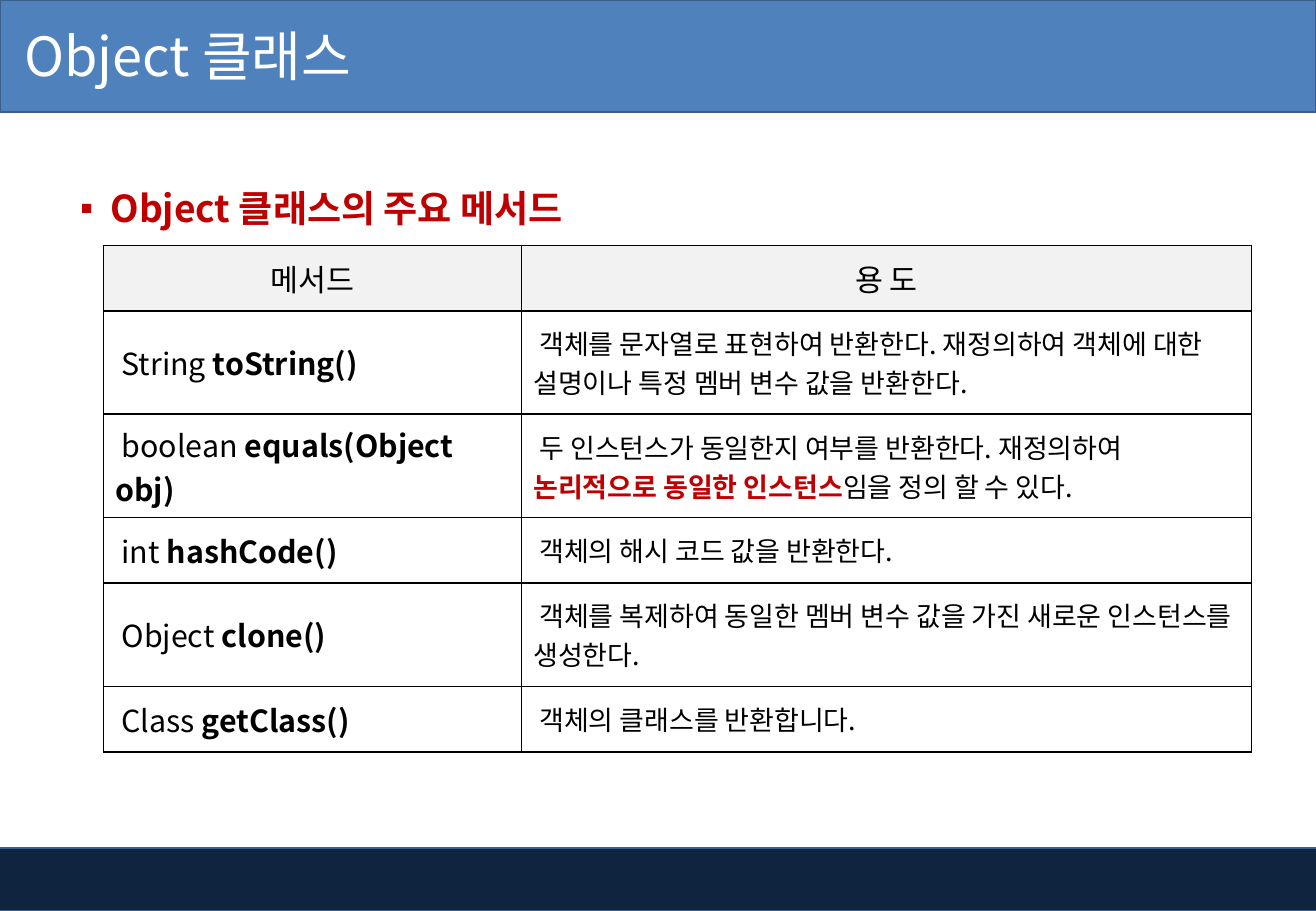
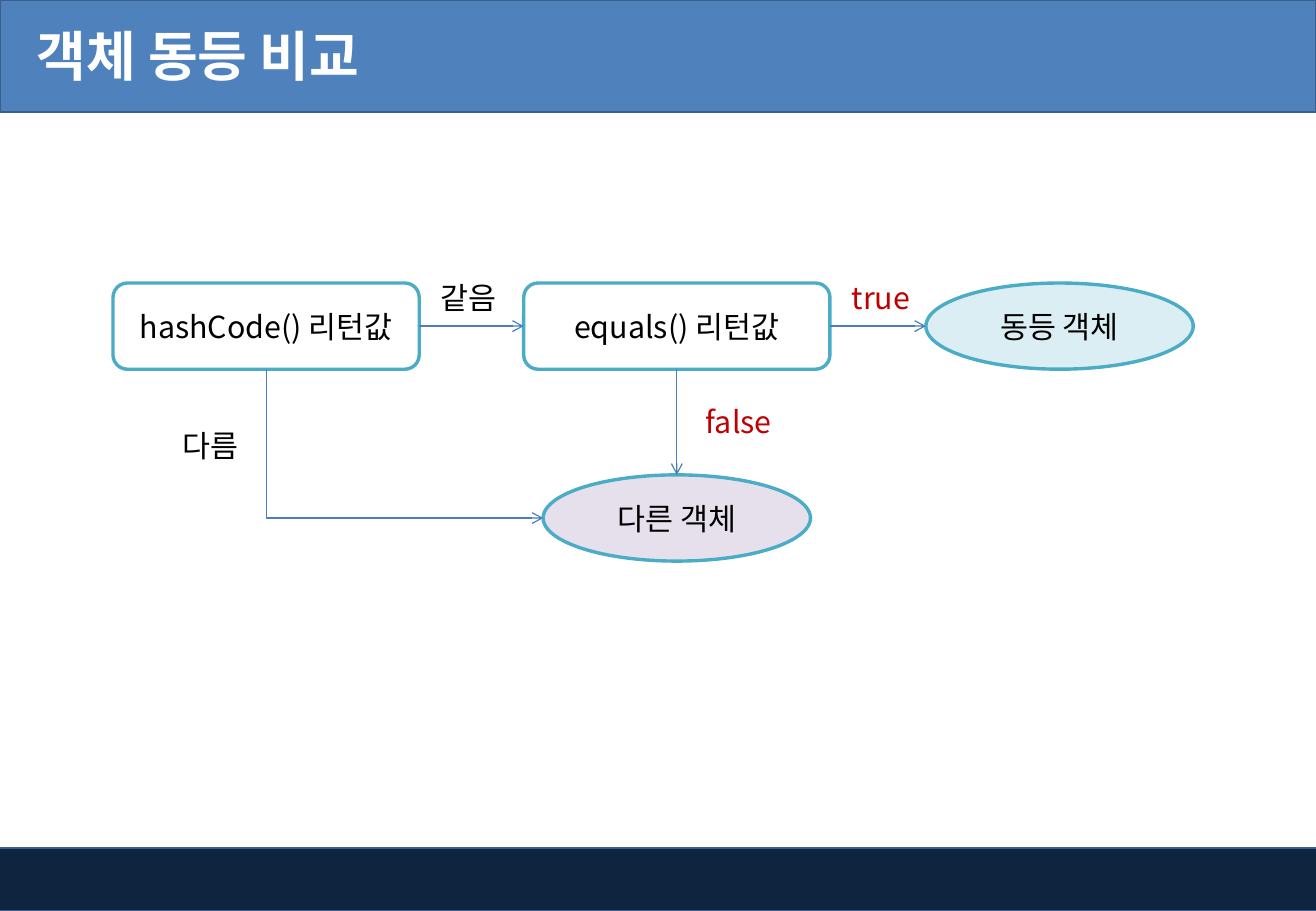
from dataclasses import dataclass

from lxml import etree
from pptx import Presentation
from pptx import util as u
from pptx.dml import color
from pptx.enum import shapes, text
from pptx.oxml import ns


@dataclass(frozen=True)
class Theme:
    font: str = "Noto Sans CJK KR"
    title_size: int = 32
    heading_size: int = 22
    label_size: int = 18
    detail_size: int = 16
    white: str = "FFFFFF"
    black: str = "000000"
    red: str = "C00000"
    header: str = "F2F2F2"
    band: str = "4F81BD"
    footer: str = "0F243E"
    band_line: str = "3A5F8C"
    outline: str = "4BACC6"
    arrow: str = "4B7EBC"
    same: str = "DBEEF4"
    different: str = "E6E0EC"


theme = Theme()


def write(para, content, size=theme.label_size, ink=theme.black, bold=False, align=text.PP_ALIGN.LEFT):
    para.alignment = align
    span = para.add_run()
    span.text = content
    span.font.size = u.Pt(size)
    span.font.bold = bold
    span.font.color.rgb = color.RGBColor.from_string(ink)
    span.font.name = theme.font
    etree.SubElement(span.font._element, ns.qn("a:ea"), typeface=theme.font)


def draw(page, kind, bounds, fill, line, weight):
    box = page.shapes.add_shape(kind, *map(u.Inches, bounds))
    box.shadow.inherit = False
    box.fill.solid()
    box.fill.fore_color.rgb = color.RGBColor.from_string(fill)
    box.line.color.rgb = color.RGBColor.from_string(line)
    box.line.width = u.Pt(weight)
    return box


CENTER = text.PP_ALIGN.CENTER
MIDDLE = text.MSO_ANCHOR.MIDDLE
SHAPE = shapes.MSO_SHAPE
WIDTH, HEIGHT = 10.83, 7.5

deck = Presentation()
deck.slide_width, deck.slide_height = u.Inches(WIDTH), u.Inches(HEIGHT)
method_page = deck.slides.add_slide(deck.slide_layouts[1])
compare_page = deck.slides.add_slide(deck.slide_layouts[5])

bands = [
    ((-0.04, 6.98, WIDTH + 0.05, HEIGHT - 6.98), theme.footer),
    ((0, 0, WIDTH, 0.92), theme.band),
]
for position, (bounds, fill) in enumerate(bands, start=2):
    band = draw(method_page, SHAPE.RECTANGLE, bounds, fill, theme.band_line, 1)
    deck.slide_master.shapes.element.insert(position, band.element)

titles = [
    (method_page, "Object 클래스", 0.2, False),
    (compare_page, "객체 동등 비교", 0.3, True),
]
for page, content, margin, bold in titles:
    title = page.shapes.title
    title.left, title.top = u.Inches(0), u.Inches(-0.02)
    title.width, title.height = u.Inches(6.78), u.Inches(0.94)
    frame = title.text_frame
    frame.auto_size = text.MSO_AUTO_SIZE.NONE
    frame.vertical_anchor = MIDDLE
    frame.margin_left = u.Inches(margin)
    write(frame.paragraphs[0], content, size=theme.title_size, ink=theme.white, bold=bold)

heading = method_page.placeholders[1]
heading.left, heading.top = u.Inches(0.56), u.Inches(1.29)
heading.width, heading.height = u.Inches(9.89), u.Inches(0.55)
heading.text_frame.auto_size = text.MSO_AUTO_SIZE.NONE
para = heading.text_frame.paragraphs[0]
para.line_spacing = 1.5
para.space_before = u.Pt(0)
properties = para._p.get_or_add_pPr()
properties.set("marL", str(u.Inches(0.25)))
properties.set("indent", str(u.Inches(-0.25)))
etree.SubElement(properties, ns.qn("a:buChar"), char="▪")
write(para, "Object 클래스의 주요 메서드", size=theme.heading_size, ink=theme.red, bold=True)

methods = [
    ("String ", "toString()",
     [("객체를 문자열로 표현하여 반환한다. 재정의하여 객체에 대한 설명이나 특정 멤버 변수 값을 반환한다.", False)]),
    ("boolean ", "equals(Object obj)",
     [("두 인스턴스가 동일한지 여부를 반환한다. 재정의하여 ", False),
      ("논리적으로 동일한 인스턴스", True),
      ("임을 정의 할 수 있다.", False)]),
    ("int ", "hashCode()", [("객체의 해시 코드 값을 반환한다.", False)]),
    ("Object ", "clone()",
     [("객체를 복제하여 동일한 멤버 변수 값을 가진 새로운 인스턴스를 생성한다.", False)]),
    ("Class ", "getClass()", [("객체의 클래스를 반환합니다.", False)]),
]
column_widths = [3.44, 6.01]
row_heights = [0.54, 0.85, 0.85, 0.54, 0.85, 0.54]
table = method_page.shapes.add_table(
    len(row_heights), len(column_widths), u.Inches(0.85), u.Inches(2.02),
    u.Inches(sum(column_widths)), u.Inches(sum(row_heights))).table
table.first_row = table.horz_banding = False
for column, width in zip(table.columns, column_widths):
    column.width = u.Inches(width)
for row, height in zip(table.rows, row_heights):
    row.height = u.Inches(height)

for cell, content in zip(table.rows[0].cells, ["메서드", "용 도"]):
    write(cell.text_frame.paragraphs[0], content, align=CENTER)
    cell.fill.solid()
    cell.fill.fore_color.rgb = color.RGBColor.from_string(theme.header)

for index, (result, method, purpose) in enumerate(methods, start=1):
    paras = [cell.text_frame.paragraphs[0] for cell in table.rows[index].cells]
    for para in paras:
        para._p.get_or_add_pPr().set("indent", str(u.Inches(0.05)))
    write(paras[0], result)
    write(paras[0], method, bold=True)
    for content, strong in purpose:
        write(paras[1], content, size=theme.detail_size, bold=strong,
              ink=theme.red if strong else theme.black)
    for cell in table.rows[index].cells:
        cell.fill.background()

for cell in table.iter_cells():
    cell.vertical_anchor = MIDDLE
    for position, side in enumerate(["lnL", "lnR", "lnT", "lnB"]):
        border = etree.Element(ns.qn("a:" + side), w=str(u.Pt(1)))
        solid = etree.SubElement(border, ns.qn("a:solidFill"))
        etree.SubElement(solid, ns.qn("a:srgbClr"), val=theme.black)
        cell._tc.get_or_add_tcPr().insert(position, border)

box_width, oval_width, node_height = 2.52, 2.2, 0.71
hash_left, equals_left, same_left = 0.93, 4.31, 7.62
top_row, bottom_row = 2.33, 3.91
equals_center = equals_left + box_width / 2
different_left = equals_center - oval_width / 2
nodes = [
    ("hashCode() 리턴값", SHAPE.ROUNDED_RECTANGLE, hash_left, top_row, box_width, theme.white),
    ("equals() 리턴값", SHAPE.ROUNDED_RECTANGLE, equals_left, top_row, box_width, theme.white),
    ("동등 객체", SHAPE.OVAL, same_left, top_row, oval_width, theme.same),
    ("다른 객체", SHAPE.OVAL, different_left, bottom_row, oval_width, theme.different),
]
boxes = []
for content, kind, left, top, width, fill in nodes:
    box = draw(compare_page, kind, (left, top, width, node_height), fill, theme.outline, 2)
    box.text_frame.word_wrap = True
    box.text_frame.vertical_anchor = MIDDLE
    write(box.text_frame.paragraphs[0], content, align=CENTER)
    boxes.append(box)
hash_box, equals_box, same_oval, different_oval = boxes

hash_center = hash_left + box_width / 2
top_middle, bottom_middle = (row + node_height / 2 for row in (top_row, bottom_row))
top_edge = top_row + node_height
drop, run = bottom_middle - top_edge, different_left - hash_center
bend_left = hash_center + (run - drop) / 2
bend_top = top_edge + (drop - run) / 2
STRAIGHT, ELBOW = shapes.MSO_CONNECTOR.STRAIGHT, shapes.MSO_CONNECTOR.ELBOW
arrows = [
    (ELBOW, (bend_left, bend_top, bend_left + drop, bend_top + run), None, None),
    (STRAIGHT, (hash_left + box_width, top_middle, equals_left, top_middle), (hash_box, 3), (equals_box, 1)),
    (STRAIGHT, (equals_left + box_width, top_middle, same_left, top_middle), (equals_box, 3), None),
    (STRAIGHT, (equals_center, top_edge, equals_center, bottom_row), (equals_box, 2), (different_oval, 0)),
]
for kind, ends, start, finish in arrows:
    arrow = compare_page.shapes.add_connector(kind, *map(u.Inches, ends))
    if start:
        arrow.begin_connect(*start)
    if finish:
        arrow.end_connect(*finish)
    arrow.line.color.rgb = color.RGBColor.from_string(theme.arrow)
    arrow.line.width = u.Pt(0.75)
    outline = arrow.element.spPr
    etree.SubElement(outline.find(ns.qn("a:ln")), ns.qn("a:tailEnd"), type="arrow")
    etree.SubElement(outline, ns.qn("a:effectLst"))
    if kind == ELBOW:
        outline.find(ns.qn("a:prstGeom")).set("prst", "bentConnector2")
        frame = outline.find(ns.qn("a:xfrm"))
        frame.set("rot", str(270 * 60000))
        frame.set("flipH", "1")

label_gap, label_top = 0.08, 2.25
labels = [
    ("같음", hash_left + box_width + label_gap, label_top, theme.black),
    ("true", equals_left + box_width + label_gap, label_top, theme.red),
    ("false", equals_center + 0.14, 3.27, theme.red),
    ("다름", 1.4, 3.47, theme.black),
]
for content, left, top, ink in labels:
    label = compare_page.shapes.add_textbox(*map(u.Inches, (left, top, 0.75, 0.4)))
    label.text_frame.word_wrap = True
    label.text_frame.margin_right = 0
    write(label.text_frame.paragraphs[0], content, ink=ink)

deck.save("out.pptx")
